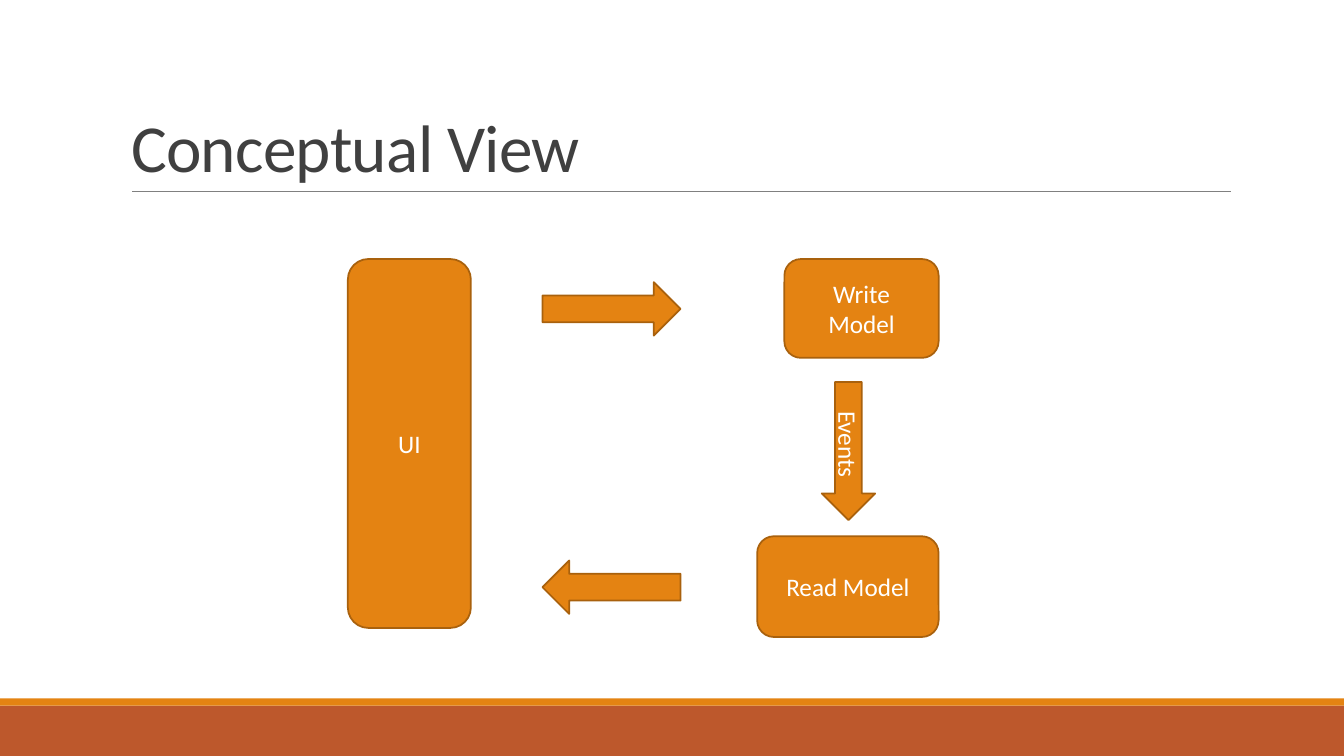
from lxml.etree import SubElement
from pptx import Presentation
from pptx.dml.color import RGBColor
from pptx.enum.shapes import MSO_CONNECTOR, MSO_SHAPE as Preset
from pptx.enum.text import MSO_ANCHOR as Anchor, MSO_AUTO_SIZE as AutoSize, PP_ALIGN as Align
from pptx.oxml.ns import qn
from pptx.util import Pt

PX = 9144
COLORS = {
    "band": "BD582C",
    "accent": "E48312",
    "outline": "A9610D",
    "rule": "808080",
    "title": "404040",
    "label": "FFFFFF",
}


def px(*lengths):
    """Turn px lengths into EMU."""
    return [length * PX for length in lengths]


def color(key):
    """Look up a palette colour."""
    return RGBColor.from_string(COLORS[key])


def apply(target, formats):
    """Set each attribute named in a dict of format values."""
    for attribute, value in formats.items():
        setattr(target, attribute, value)


def write(frame, text, size, ink, align, anchor):
    """Put one formatted paragraph in a text frame."""
    apply(frame, {"text": text, "word_wrap": True, "auto_size": AutoSize.NONE,
                  "vertical_anchor": anchor})
    paragraph = frame.paragraphs[0]
    paragraph.alignment = align
    run = paragraph.runs[0]
    apply(run.font, {"name": "Calibri", "size": Pt(size), "bold": False})
    run.font.color.rgb = color(ink)
    return paragraph


def add_block(slide, preset, box, fill="accent", outline=None, label="", rotation=0):
    """Add a filled shape, with an outline and a centred label if given."""
    block = slide.shapes.add_shape(preset, *px(*box))
    block.rotation = rotation
    block.shadow.inherit = False
    block.fill.solid()
    block.fill.fore_color.rgb = color(fill)
    if outline:
        block.line.color.rgb = color(outline)
        block.line.width = Pt(1.25)
    else:
        block.line.fill.background()
    if label:
        write(block.text_frame, label, 18, "label", Align.CENTER, Anchor.MIDDLE)


def add_footer(slide, left, top, width, height):
    """Draw the footer band with its accent stripe on top."""
    stripe = 7
    add_block(slide, Preset.RECTANGLE, (left, top + stripe, width, height - stripe), "band")
    add_block(slide, Preset.RECTANGLE, (left, top, width, stripe))


def add_heading(slide, left, top, width, height):
    """Place the title and the rule beneath it."""
    heading = slide.shapes.title
    apply(heading, dict(zip(("left", "top", "width", "height"), px(left, top, width, height))))
    paragraph = write(heading.text_frame, "Conceptual View", 48, "title", Align.LEFT, Anchor.BOTTOM)
    paragraph.line_spacing = 0.85
    paragraph.runs[0].font._element.set("spc", "-50")
    start, bottom = left + 11, top + height
    rule = slide.shapes.add_connector(
        MSO_CONNECTOR.STRAIGHT, *px(start, bottom, start + 1090, bottom))
    rule.line.color.rgb = color("rule")
    rule.line.width = Pt(0.5)
    SubElement(rule._element.spPr, qn("a:effectLst"))


def add_flow(slide, left, top, width):
    """Draw the UI, the two models and the arrows that circle between them."""
    right = left + width
    models = (("UI", left, 0, 122, 366),
              ("Write Model", right - 153, 0, 153, 98),
              ("Read Model", right - 180, 275, 180, 100))
    for label, x, y, block_width, block_height in models:
        add_block(slide, Preset.ROUNDED_RECTANGLE, (x, top + y, block_width, block_height),
                  outline="outline", label=label)
    arrows = (("Events", 428, 164, 90), ("", 193, 299, 180), ("", 193, 23, 0))
    for label, x, y, rotation in arrows:
        add_block(slide, Preset.RIGHT_ARROW, (left + x, top + y, 137, 53),
                  outline="outline", label=label, rotation=rotation)


def main():
    """Build and save the slide."""
    deck = Presentation()
    apply(deck, dict(zip(("slide_width", "slide_height"), px(1333, 750))))
    slide = deck.slides.add_slide(deck.slide_layouts[5])
    add_footer(slide, 0, 693, 1333, 57)
    add_heading(slide, 120, 31, 1100, 159)
    add_flow(slide, 345, 257, 586)
    deck.save("out.pptx")


if __name__ == "__main__":
    main()
